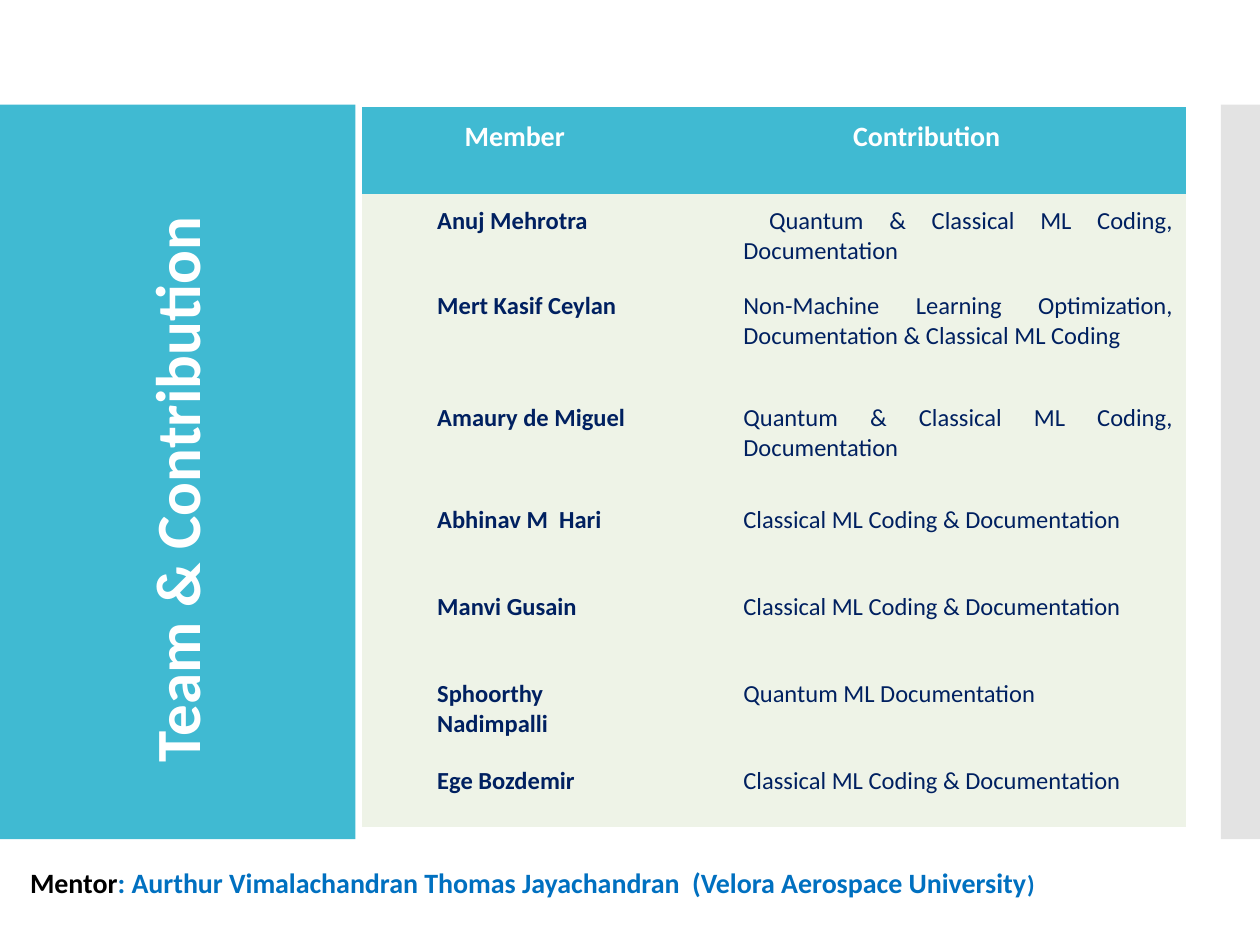
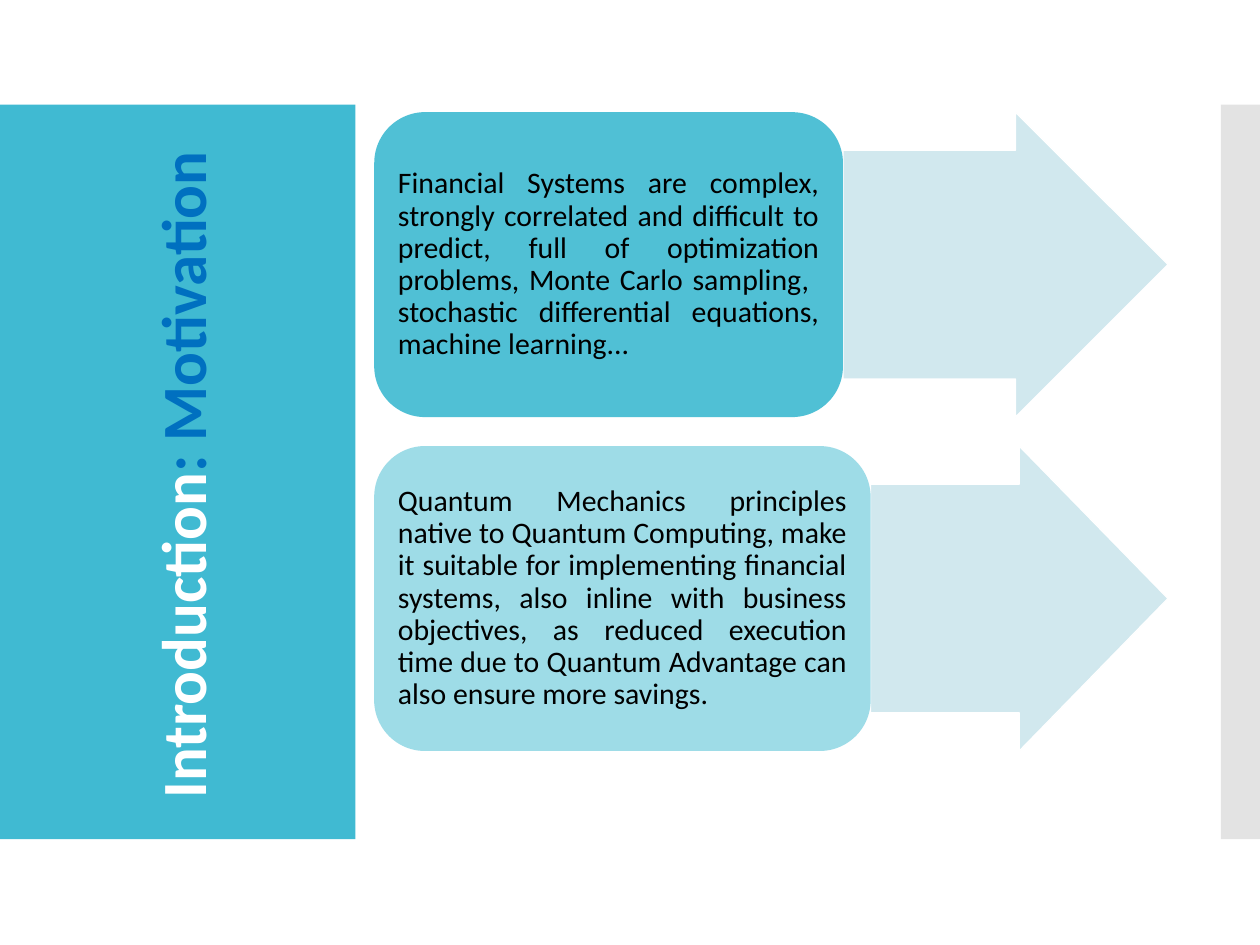
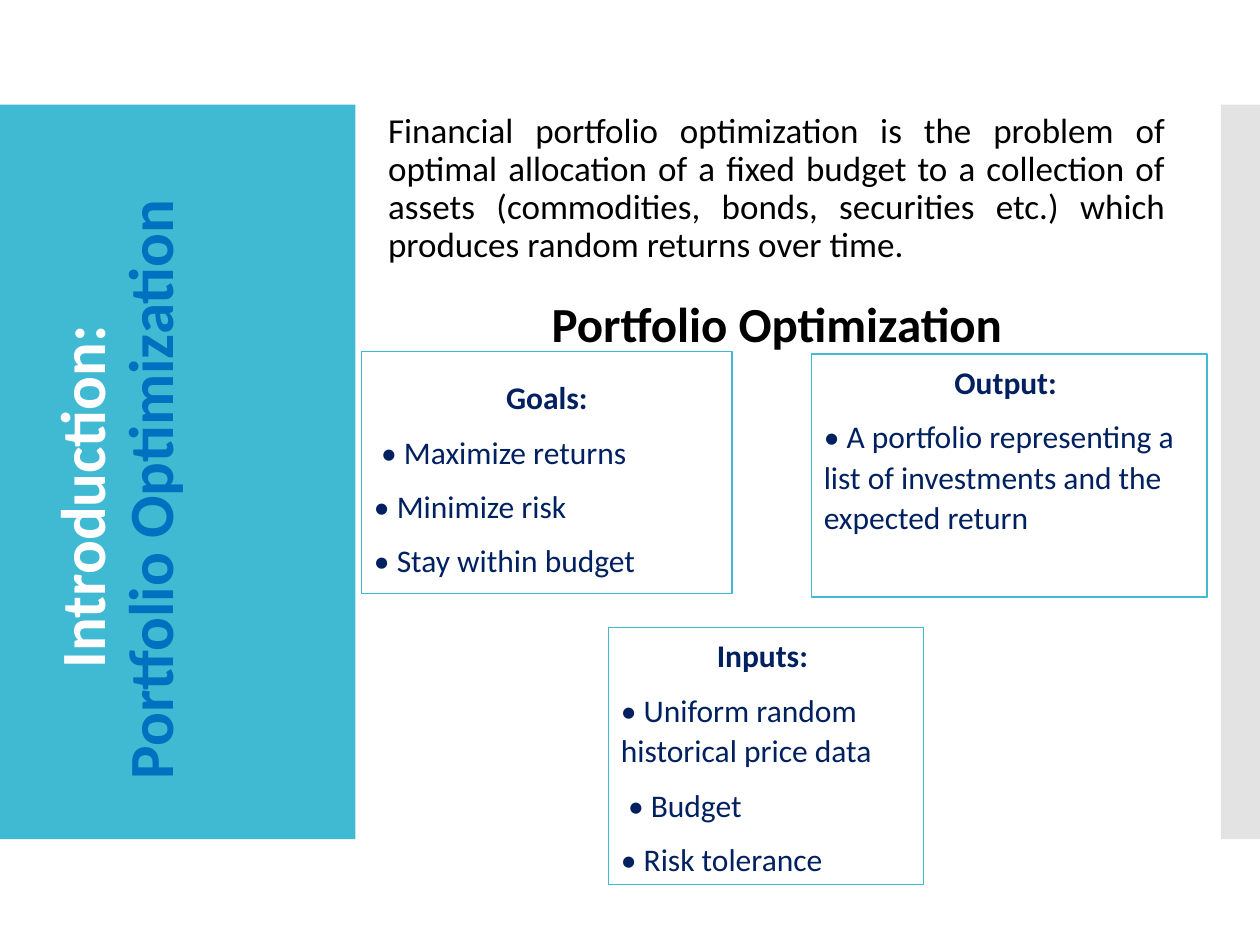
from pptx import Presentation
from pptx.dml.color import RGBColor
from pptx.enum.shapes import MSO_SHAPE as SHAPE
from pptx.enum.text import MSO_ANCHOR as ANCHOR, MSO_AUTO_SIZE as AUTOSIZE, PP_ALIGN as ALIGN
from pptx.oxml.ns import qn
from pptx.util import Inches, Pt
from lxml.etree import SubElement


class Theme:
    font = "Calibri"
    teal = RGBColor.from_string("40BAD2")
    card = RGBColor.from_string("3EBAD1")
    arrow = RGBColor.from_string("CDE6ED")
    grey = RGBColor.from_string("C8C8C8")
    cell = RGBColor.from_string("EEF3E7")
    navy = RGBColor.from_string("002060")
    blue = RGBColor.from_string("0070C0")
    white = RGBColor.from_string("FFFFFF")
    black = RGBColor.from_string("000000")
    title, heading, body, box, card_text = Pt(36), Pt(28), Pt(20), Pt(18), Pt(17)
    header, cell_text = Pt(16), Pt(14)


def add_run(p, text, size, color, bold=False):
    r = p.add_run()
    r.text = text
    r.font.name, r.font.size, r.font.bold = Theme.font, size, bold
    r.font.color.rgb = color


def add_block(s, kind, box, color, alpha=100, line=None, weight=0.75):
    sp = s.shapes.add_shape(kind, *map(Inches, box))
    sp.shadow.inherit = False
    sp.fill.solid()
    sp.fill.fore_color.rgb = color
    if alpha < 100:
        clr = sp.element.spPr.find(qn("a:solidFill"))[0]
        SubElement(clr, qn("a:alpha")).set("val", str(alpha * 1000))
    if line is None:
        sp.line.fill.background()
    else:
        sp.line.color.rgb = line
        sp.line.width = Pt(weight)
    return sp


prs = Presentation()
prs.slide_width, prs.slide_height = Inches(10), Inches(7.5)
TITLE_BODY, TITLE_ONLY = prs.slide_layouts[1], prs.slide_layouts[5]

# Slides with their rotated titles: layout, box, anchor, margins, lines of runs
titles = [
    (TITLE_ONLY, (-1.28, 2.75, 5.42, 2.27), ANCHOR.MIDDLE, (0.1, 0.05, 0.1, 0.05),
     [[("Team & Contribution", Theme.white)]]),
    (TITLE_ONLY, (-1.42, 3.49, 5.77, 0.56), ANCHOR.MIDDLE, (0, 0.02, 0, 0),
     [[("Introduction", Theme.white), (": Motivation", Theme.blue)]]),
    (TITLE_BODY, (-3.32, 3.06, 9, 1.65), ANCHOR.TOP, (0.1, 0.05, 0.1, 0.05),
     [[("Introduction: ", Theme.white)], [("Portfolio Optimization", Theme.blue)]]),
]
for layout, box, anchor, margins, lines in titles:
    s = prs.slides.add_slide(layout)
    sp = s.shapes.title
    sp.left, sp.top, sp.width, sp.height = map(Inches, box)
    sp.rotation = 270
    tf = sp.text_frame
    tf.auto_size, tf.word_wrap, tf.vertical_anchor = AUTOSIZE.NONE, True, anchor
    tf.margin_left, tf.margin_top, tf.margin_right, tf.margin_bottom = map(Inches, margins)
    p = tf.paragraphs[0]
    p.alignment, p.line_spacing = ALIGN.CENTER, 0.9
    for i, line in enumerate(lines):
        if i:
            p.add_line_break()
        for text, color in line:
            add_run(p, text, Theme.title, color, True)
team, motivation, portfolio = prs.slides

# Side bands, moved to the master so that every slide shows them
bands = [((0, 0.83, 2.82, 5.83), Theme.teal, 100), ((9.69, 0.83, 0.32, 5.83), Theme.grey, 50)]
for i, (box, color, alpha) in enumerate(bands):
    sp = add_block(team, SHAPE.RECTANGLE, box, color, alpha)
    sp.element.nvSpPr.cNvPr.set("id", str(20 + i))
    prs.slide_master.shapes.element.insert(2 + i, sp.element)

# Slide 1: team table
rows = [
    ("Member", "Contribution"),
    ("Anuj Mehrotra", " Quantum & Classical ML Coding, Documentation"),
    ("Mert Kasif Ceylan", "Non-Machine Learning Optimization, Documentation & Classical ML Coding"),
    ("Amaury de Miguel", "Quantum & Classical ML Coding, Documentation"),
    ("Abhinav M  Hari", "Classical ML Coding & Documentation"),
    ("Manvi Gusain", "Classical ML Coding & Documentation"),
    ("Sphoorthy Nadimpalli", "Quantum ML Documentation"),
    ("Ege Bozdemir", "Classical ML Coding & Documentation"),
]
heights = [0.69, 0.61, 0.89, 0.81, 0.69, 0.69, 0.69, 0.58]
frame = team.shapes.add_table(len(rows), 2, Inches(2.87), Inches(0.85), Inches(6.54),
                              Inches(sum(heights)))
NO_GRID = "{2D5ABB26-0587-4C30-8999-92F81FD0307C}"
next(frame.element.iter(qn("a:tableStyleId"))).text = NO_GRID
table = frame.table
table.columns[0].width, table.columns[1].width = Inches(2.43), Inches(4.11)
for i, (row, height) in enumerate(zip(rows, heights)):
    table.rows[i].height = Inches(height)
    for j, text in enumerate(row):
        cell = table.cell(i, j)
        cell.fill.solid()
        cell.fill.fore_color.rgb = Theme.cell if i else Theme.teal
        cell.margin_left = cell.margin_right = Inches(0.1)
        cell.margin_top = cell.margin_bottom = Inches(0.1)
        p = cell.text_frame.paragraphs[0]
        if i:
            p.alignment = ALIGN.JUSTIFY
            p._p.get_or_add_pPr().set("marL", str(Inches(0.5)))
            add_run(p, text, Theme.cell_text, Theme.navy, j == 0)
        else:
            p.alignment = ALIGN.CENTER
            add_run(p, text, Theme.header, Theme.white, True)

# Slide 1: mentor line
sp = team.shapes.add_textbox(Inches(0.14), Inches(6.82), Inches(9.86), Inches(0.37))
sp.text_frame.word_wrap = True
p = sp.text_frame.paragraphs[0]
add_run(p, "Mentor", Theme.header, Theme.black, True)
add_run(p, ": Aurthur Vimalachandran Thomas Jayachandran  (Velora Aerospace University",
        Theme.header, Theme.blue, True)
add_run(p, ")", Theme.cell_text, Theme.blue, True)

# Slide 2: cards, each with an arrow to the same right edge
cards = [
    (0.89, 3.72, 90, "Financial Systems are complex, strongly correlated and difficult to predict, "
     "full of optimization problems, Monte Carlo sampling,  stochastic differential equations, "
     "machine learning..."),
    (3.54, 3.94, 50, "Quantum Mechanics principles native to Quantum Computing, make it suitable for "
     "implementing financial systems, also inline with business objectives, as reduced execution "
     "time due to Quantum Advantage can also ensure more savings."),
]
left, right, height = 2.97, 9.27, 2.42
for top, width, alpha, text in cards:
    edge = left + width
    arrow = add_block(motivation, SHAPE.RIGHT_ARROW, (edge, top, right - edge, height),
                      Theme.arrow, 90, Theme.white)
    arrow.adjustments[0] = 0.75
    sp = add_block(motivation, SHAPE.ROUNDED_RECTANGLE, (left, top, width, height), Theme.card, alpha)
    tf = sp.text_frame
    tf.word_wrap, tf.vertical_anchor = True, ANCHOR.MIDDLE
    tf.margin_left = tf.margin_right = Inches(0.07)
    tf.margin_top = tf.margin_bottom = Inches(0.04)
    p = tf.paragraphs[0]
    p.alignment, p.line_spacing = ALIGN.JUSTIFY, 0.9
    add_run(p, text, Theme.card_text, Theme.black)

# Slide 3: definition and heading
sp = portfolio.placeholders[1]
sp.left, sp.top, sp.width, sp.height = map(Inches, (2.98, 0.85, 6.37, 3.48))
tf = sp.text_frame
tf.auto_size = AUTOSIZE.NONE
paragraphs = [
    ("Financial portfolio optimization is the problem of optimal allocation of a fixed budget to a "
     "collection of assets (commodities, bonds, securities etc.) which produces random returns over "
     "time.", Theme.body, False, ALIGN.JUSTIFY, 0.9, 0),
    ("Portfolio Optimization", Theme.heading, True, ALIGN.CENTER, 1.07, 14),
]
for i, (text, size, bold, align, spacing, before) in enumerate(paragraphs):
    p = tf.add_paragraph() if i else tf.paragraphs[0]
    p.alignment, p.line_spacing, p.space_before = align, spacing, Pt(before)
    pPr = p._p.get_or_add_pPr()
    pPr.set("marL", "0")
    pPr.set("indent", "0")
    SubElement(pPr, qn("a:buNone"))
    add_run(p, text, size, Theme.black, bold)

# Slide 3: goals, inputs and output
boxes = [
    ((2.87, 2.79, 2.94, 1.92), 0.19, "Goals:",
     [" • Maximize returns", "• Minimize risk", "• Stay within budget"]),
    ((4.83, 4.98, 2.5, 2.04), 0.05, "Inputs: ",
     ["• Uniform random historical price data", " • Budget", "• Risk tolerance"]),
    ((6.44, 2.81, 3.14, 1.93), 0.05, "Output: ",
     ["• A portfolio representing a list of investments and the expected return"]),
]
for box, margin_top, heading, items in boxes:
    sp = add_block(portfolio, SHAPE.RECTANGLE, box, Theme.white, line=Theme.teal, weight=0.85)
    tf = sp.text_frame
    tf.word_wrap, tf.vertical_anchor, tf.margin_top = True, ANCHOR.TOP, Inches(margin_top)
    p = tf.paragraphs[0]
    p.alignment, p.line_spacing = ALIGN.CENTER, 1.07
    add_run(p, heading, Theme.box, Theme.navy, True)
    for item in items:
        p = tf.add_paragraph()
        p.alignment, p.line_spacing, p.space_before = ALIGN.LEFT, 1.07, Pt(8)
        add_run(p, item, Theme.box, Theme.navy)

prs.save("out.pptx")
